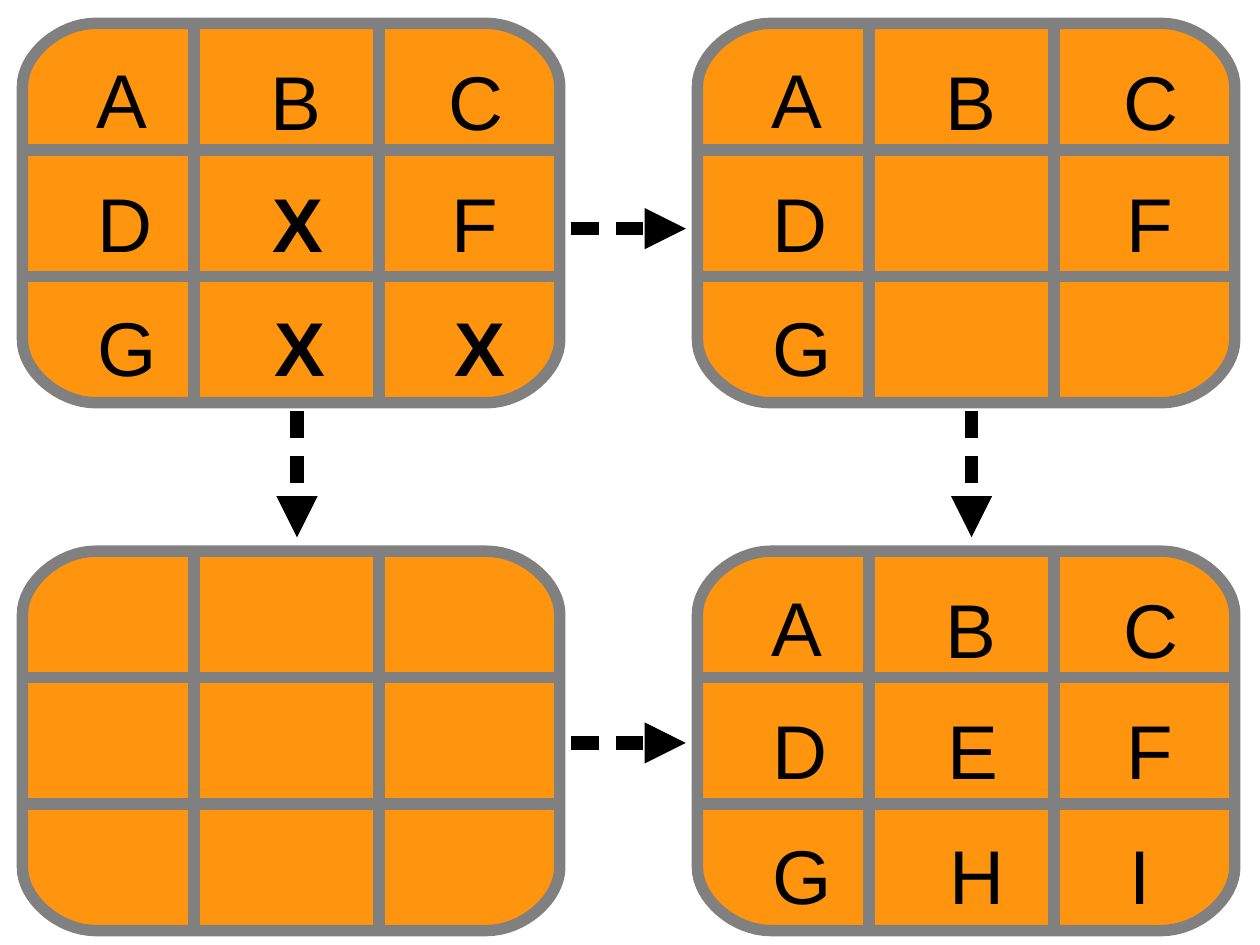
from dataclasses import dataclass

from lxml.etree import SubElement
from pptx import Presentation
from pptx.dml.color import RGBColor
from pptx.enum.shapes import MSO_CONNECTOR
from pptx.enum.text import MSO_ANCHOR, PP_ALIGN
from pptx.oxml.ns import qn
from pptx.util import Cm, Pt


@dataclass(frozen=True)
class Theme:
    """Colours, font and sizes of the slide."""
    tile: RGBColor = RGBColor(0xFF, 0x95, 0x0E)
    grid: RGBColor = RGBColor(0x80, 0x80, 0x80)
    ink: RGBColor = RGBColor(0, 0, 0)
    font: str = "Arial"
    letter: Pt = Pt(48)
    grid_line: Pt = Pt(7.2)
    arrow_line: Pt = Pt(8.65)


THEME = Theme()
WIDTH, HEIGHT = 11.94, 8.43
RADIUS_X, RADIUS_Y = 1.62, 1.4
COLUMN_LINES, ROW_LINES = (3.81, 7.92), (2.81, 5.62)
LETTER_X, LETTER_STEP = (1.4, 5.26, 9.22), (0.01, 0.05, 0.06)
LETTER_Y = (0.4, 3.1, 5.87)
LEFT, RIGHT, TOP, BOTTOM = 0.5, 15.5, 0.52, 12.25
GRIDS = (
    (LEFT, TOP, ("ABC", "DXF", "GXX")),
    (RIGHT, TOP, ("ABC", "D F", "G  ")),
    (LEFT, BOTTOM, ()),
    (RIGHT, BOTTOM, ("ABC", "DEF", "GHI")),
)
ARROWS = (
    (12.7, 5.08, 15.24, 5.08),
    (6.6, 9.14, 6.6, 11.94),
    (21.59, 9.14, 21.59, 11.94),
    (12.7, 16.51, 15.24, 16.51),
)


def corner(start, vertex, end, steps=16):
    """Return points on a cubic curve that rounds a corner."""
    points = []
    for i in range(steps + 1):
        t = i / steps
        a, b = (1 - t) ** 2 * (1 + t / 2), t ** 2 * (1.5 - t / 2)
        points.append(tuple(
            a * p + (1 - a - b) * v + b * q for p, v, q in zip(start, vertex, end)))
    return points


def outline():
    """Return the rounded outline of a grid in centimetres."""
    w, h, rx, ry = WIDTH, HEIGHT, RADIUS_X, RADIUS_Y
    return [
        *corner((rx, 0), (0, 0), (0, ry)),
        *corner((0, h - ry), (0, h), (rx, h)),
        *corner((w - rx, h), (w, h), (w, h - ry)),
        *corner((w, ry), (w, 0), (w - rx, 0)),
    ]


def add_tile(shapes, left, top):
    """Add the rounded tile with its dividing lines."""
    def at(point):
        return Cm(left + point[0]), Cm(top + point[1])

    first, *rest = outline()
    builder = shapes.build_freeform(*at(first))
    builder.add_line_segments([at(point) for point in rest])
    dividers = [((x, 0), (x, HEIGHT)) for x in COLUMN_LINES]
    dividers += [((0, y), (WIDTH, y)) for y in ROW_LINES]
    for start, end in dividers:
        builder.move_to(*at(start))
        builder.add_line_segments([at(end)], close=False)
    sp = builder.convert_to_shape()
    sp.shadow.inherit = False
    sp.fill.solid()
    sp.fill.fore_color.rgb = THEME.tile
    sp.line.color.rgb = THEME.grid
    sp.line.width = THEME.grid_line


def add_letter(shapes, left, top, letter):
    """Add one cell letter, bold where it marks a crossed cell."""
    tf = shapes.add_textbox(Cm(left), Cm(top), Cm(2.4), Cm(2.45)).text_frame
    tf.word_wrap = True
    tf.vertical_anchor = MSO_ANCHOR.TOP
    tf.margin_left = tf.margin_right = Cm(0.25)
    tf.margin_top, tf.margin_bottom = Cm(0.29), Cm(0.13)
    p = tf.paragraphs[0]
    p.alignment = PP_ALIGN.LEFT
    r = p.add_run()
    r.text = letter
    r.font.name = THEME.font
    r.font.size = THEME.letter
    r.font.bold = letter == "X"
    r.font.color.rgb = THEME.ink


def add_grid(s, left, top, rows):
    """Add a tile and group it with its letters, if it has any."""
    shapes = s.shapes.add_group_shape().shapes if rows else s.shapes
    add_tile(shapes, left, top)
    for row, letters in enumerate(rows):
        for column, letter in enumerate(letters):
            if letter != " ":
                x = LETTER_X[column] + row * LETTER_STEP[column]
                y = LETTER_Y[row] - (0.05 if letter == "A" else 0)
                add_letter(shapes, left + x, top + y, letter)


def add_arrow(s, *ends):
    """Add a thick dashed arrow between two points."""
    sp = s.shapes.add_connector(MSO_CONNECTOR.STRAIGHT, *(Cm(v) for v in ends))
    sp.line.color.rgb = THEME.ink
    sp.line.width = THEME.arrow_line
    ln = sp.line._get_or_add_ln()
    dash = SubElement(ln, qn("a:custDash"))
    SubElement(dash, qn("a:ds"), d="197000", sp="130000")
    SubElement(ln, qn("a:tailEnd"), type="triangle", w="med", len="med")
    SubElement(sp._element.spPr, qn("a:effectLst"))


def main():
    """Build and save the slide."""
    prs = Presentation()
    prs.slide_width, prs.slide_height = Cm(28), Cm(21)
    s = prs.slides.add_slide(prs.slide_layouts[6])
    for grid in GRIDS:
        add_grid(s, *grid)
    for arrow in ARROWS:
        add_arrow(s, *arrow)
    prs.save("out.pptx")


if __name__ == "__main__":
    main()
